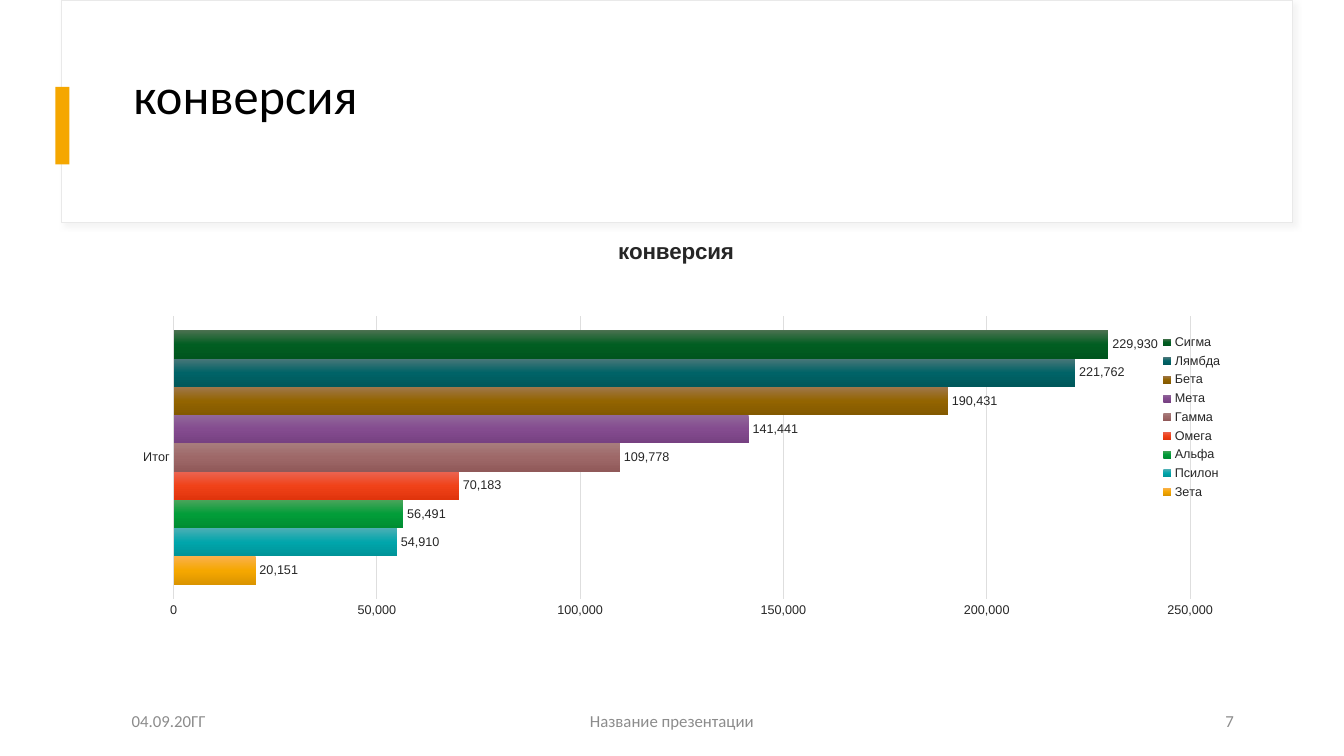
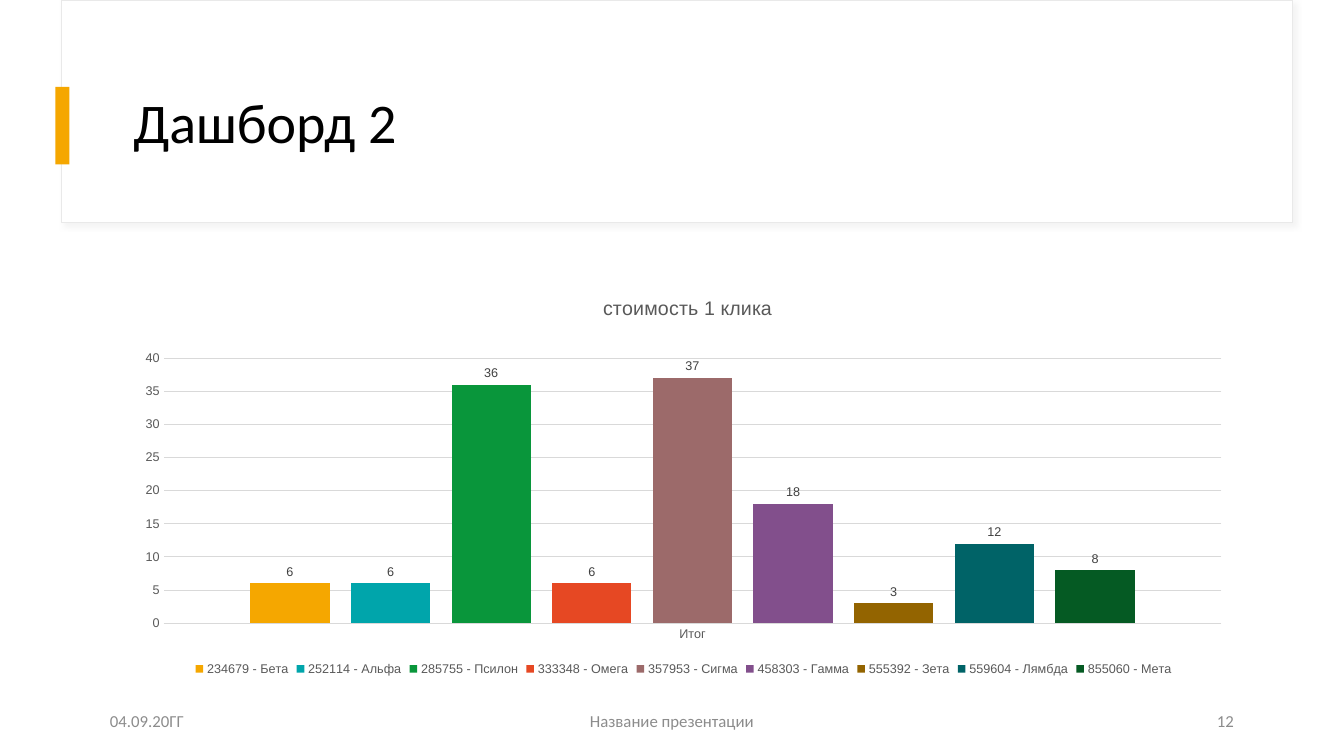
from dataclasses import dataclass

from lxml.etree import SubElement
from pptx import Presentation
from pptx.chart.data import CategoryChartData
from pptx.dml.color import RGBColor
from pptx.enum.chart import (XL_CHART_TYPE, XL_LABEL_POSITION,
                             XL_LEGEND_POSITION, XL_TICK_MARK)
from pptx.enum.shapes import MSO_SHAPE
from pptx.enum.text import MSO_ANCHOR, MSO_AUTO_SIZE, PP_ALIGN
from pptx.oxml import parse_xml
from pptx.oxml.ns import nsdecls, qn
from pptx.util import Pt


@dataclass(frozen=True)
class Theme:
    head: str = "Calibri"
    body: str = "Arial"
    ink: str = "000000"
    paper: str = "FFFFFF"
    edge: str = "E9E9E9"
    shade: str = "D9D9D9"
    accent: str = "F5A700"
    muted: str = "8C8C8C"
    foot: int = 12
    label: int = 9
    chart: int = 10


theme = Theme()

# Slide contents: bars are (name, value, colour or gradient stops)
pages = [
    dict(
        title="конверсия", size=36, anchor=MSO_ANCHOR.TOP, inset=7.6,
        number="7", date=87,
        kind=XL_CHART_TYPE.BAR_CLUSTERED, box=(80, 152.5, 800.5, 291),
        name="конверсия", name_size=16, bold=True, name_at=(0.448, 0.047),
        plot=(0.055, 0.252, 0.907, 0.694), gap=100, overlap=0,
        top=250000, step=50000,
        legend=XL_LEGEND_POSITION.RIGHT, over=True,
        text="262626", value="262626", grid="DEDEDE",
        bars=[
            ("Зета", 20151, ("FAB14B", "F5A700", "DA9400")),
            ("Псилон", 54910, ("4BAFB5", "00A5AB", "009398")),
            ("Альфа", 56491, ("4BA45B", "029D39", "008D32")),
            ("Омега", 70183, ("EB6451", "F04219", "E0340C")),
            ("Гамма", 109778, ("A77C7C", "9E6868", "905959")),
            ("Мета", 141441, ("91679A", "844C8F", "774182")),
            ("Бета", 190431, ("9F774B", "936400", "835900")),
            ("Лямбда", 221762, ("4B7779", "006367", "00585B")),
            ("Сигма", 229930, ("4B7150", "015E22", "00551E")),
        ]),
    dict(
        title="Дашборд 2", size=40, anchor=MSO_ANCHOR.MIDDLE, inset=3.6,
        number="12", date=71.5,
        kind=XL_CHART_TYPE.COLUMN_CLUSTERED, box=(88, 195, 800.5, 291),
        name="стоимость 1 клика", name_size=14, bold=False,
        name_at=(0.425, 0.046),
        plot=(0.036, 0.209, 0.944, 0.651), gap=219, overlap=-27,
        top=40, step=5,
        legend=XL_LEGEND_POSITION.BOTTOM, over=False,
        text="595959", value="404040", grid="D9D9D9",
        bars=[
            ("234679 - Бета", 6, "F5A700"),
            ("252114 - Альфа", 6, "00A5AB"),
            ("285755 - Псилон", 36, "09963B"),
            ("333348 - Омега", 6, "E64823"),
            ("357953 - Сигма", 37, "9C6A6A"),
            ("458303 - Гамма", 18, "824F8C"),
            ("555392 - Зета", 3, "936400"),
            ("559604 - Лямбда", 12, "006367"),
            ("855060 - Мета", 8, "055A23"),
        ]),
]


def style(font, name, size, color, bold=False):
    font.name, font.size, font.bold = name, Pt(size), bold
    font.color.rgb = RGBColor.from_string(color)


def place(node, index, **parts):
    """Give a chart part a manual layout, in shares of the chart."""
    for old in node.findall(qn("c:layout")):
        node.remove(old)
    rules = "".join(f'<c:{tag} val="{val}"/>' for tag, val in parts.items())
    node.insert(index, parse_xml(
        f'<c:layout {nsdecls("c")}><c:manualLayout>{rules}'
        '</c:manualLayout></c:layout>'))


deck = Presentation()
deck.slide_width, deck.slide_height = Pt(960), Pt(540)

for page in pages:
    slide = deck.slides.add_slide(deck.slide_layouts[5])
    shapes = slide.shapes

    # Title band and accent
    for box, fill in (((44, 0, 879, 159), theme.paper),
                      ((39.5, 62, 10, 55.5), theme.accent)):
        rect = shapes.add_shape(MSO_SHAPE.RECTANGLE, *map(Pt, box))
        rect.shadow.inherit = False
        rect.fill.solid()
        rect.fill.fore_color.rgb = RGBColor.from_string(fill)
        if fill == theme.accent:
            rect.line.fill.background()
        else:
            rect.line.color.rgb = RGBColor.from_string(theme.edge)
            rect.line.width = Pt(0.75)
            glow = SubElement(
                rect.element.spPr.find(qn("a:effectLst")), qn("a:outerShdw"),
                blurRad=str(Pt(4)), dist=str(Pt(3)), dir="2700000")
            tint = SubElement(glow, qn("a:srgbClr"), val=theme.shade)
            SubElement(tint, qn("a:alpha"), val="30000")

    # Title, brought in front of the band
    title = shapes.title
    shapes.element.append(title.element)
    title.left, title.top, title.width, title.height = map(
        Pt, (88, 43, 800.5, 93))
    frame = title.text_frame
    frame.text = page["title"]
    frame.auto_size = MSO_AUTO_SIZE.NONE
    frame.vertical_anchor = page["anchor"]
    frame.margin_top = Pt(page["inset"])
    line = frame.paragraphs[0]
    line.alignment, line.line_spacing = PP_ALIGN.LEFT, 0.9
    style(line.font, theme.head, page["size"], theme.ink)

    # Footer
    for text, left, width, align in (
            ("04.09.20ГГ", page["date"], 216, PP_ALIGN.LEFT),
            ("Название презентации", 318, 324, PP_ALIGN.CENTER),
            (page["number"], 672.5, 216, PP_ALIGN.RIGHT)):
        note = shapes.add_textbox(Pt(left), Pt(500.5), Pt(width), Pt(28.5))
        frame = note.text_frame
        frame.word_wrap, frame.vertical_anchor = True, MSO_ANCHOR.MIDDLE
        frame.text = text
        line = frame.paragraphs[0]
        line.alignment = align
        style(line.font, theme.head, theme.foot, theme.muted)

    # Chart and its title
    data = CategoryChartData(number_format="#,##0")
    data.categories = ["Итог"]
    for name, value, _ in page["bars"]:
        data.add_series(name, [value])
    chart = shapes.add_chart(page["kind"], *map(Pt, page["box"]), data).chart
    style(chart.font, theme.body, theme.chart, theme.ink)
    chart.has_title = True
    frame = chart.chart_title.text_frame
    frame.text = page["name"]
    style(frame.paragraphs[0].font, theme.body, page["name_size"],
          page["text"], page["bold"])
    x, y = page["name_at"]
    place(chart.element.xpath("c:chart/c:title")[0], 1,
          xMode="edge", yMode="edge", x=x, y=y)
    x, y, w, h = page["plot"]
    place(chart.element.xpath(".//c:plotArea")[0], 0, layoutTarget="inner",
          xMode="edge", yMode="edge", x=x, y=y, w=w, h=h)

    # Axes and legend
    grid = RGBColor.from_string(page["grid"])
    for axis in (chart.category_axis, chart.value_axis):
        axis.major_tick_mark = axis.minor_tick_mark = XL_TICK_MARK.NONE
        style(axis.tick_labels.font, theme.body, theme.label, page["text"])
    cats, vals = chart.category_axis, chart.value_axis
    vals.has_major_gridlines = True
    for rule in (cats.format.line, vals.major_gridlines.format.line):
        rule.color.rgb, rule.width = grid, Pt(0.75)
    vals.format.line.fill.background()
    vals.minimum_scale, vals.maximum_scale = 0, page["top"]
    vals.major_unit = page["step"]
    vals.tick_labels.number_format = "#,##0"
    vals.tick_labels.number_format_is_linked = False
    chart.has_legend = True
    chart.legend.position = page["legend"]
    chart.legend.include_in_layout = page["over"]
    style(chart.legend.font, theme.body, theme.label, page["text"])

    # Bars and value labels
    plot = chart.plots[0]
    plot.vary_by_categories = False
    plot.gap_width, plot.overlap = page["gap"], page["overlap"]
    plot.has_data_labels = True
    labels = plot.data_labels
    labels.show_value, labels.position = True, XL_LABEL_POSITION.OUTSIDE_END
    labels.number_format, labels.number_format_is_linked = "#,##0", False
    style(labels.font, theme.body, theme.label, page["value"])
    for bar, (_, _, color) in zip(plot.series, page["bars"]):
        fill = bar.format.fill
        if isinstance(color, str):
            fill.solid()
            fill.fore_color.rgb = RGBColor.from_string(color)
            continue
        fill.gradient()
        fill.gradient_angle = 270
        stops = chart.element.xpath(".//a:gsLst")[-1]
        stops.clear()
        for pos, tone in zip((0, 50000, 100000), color):
            stop = SubElement(stops, qn("a:gs"), pos=str(pos))
            SubElement(stop, qn("a:srgbClr"), val=tone)

deck.save("out.pptx")
